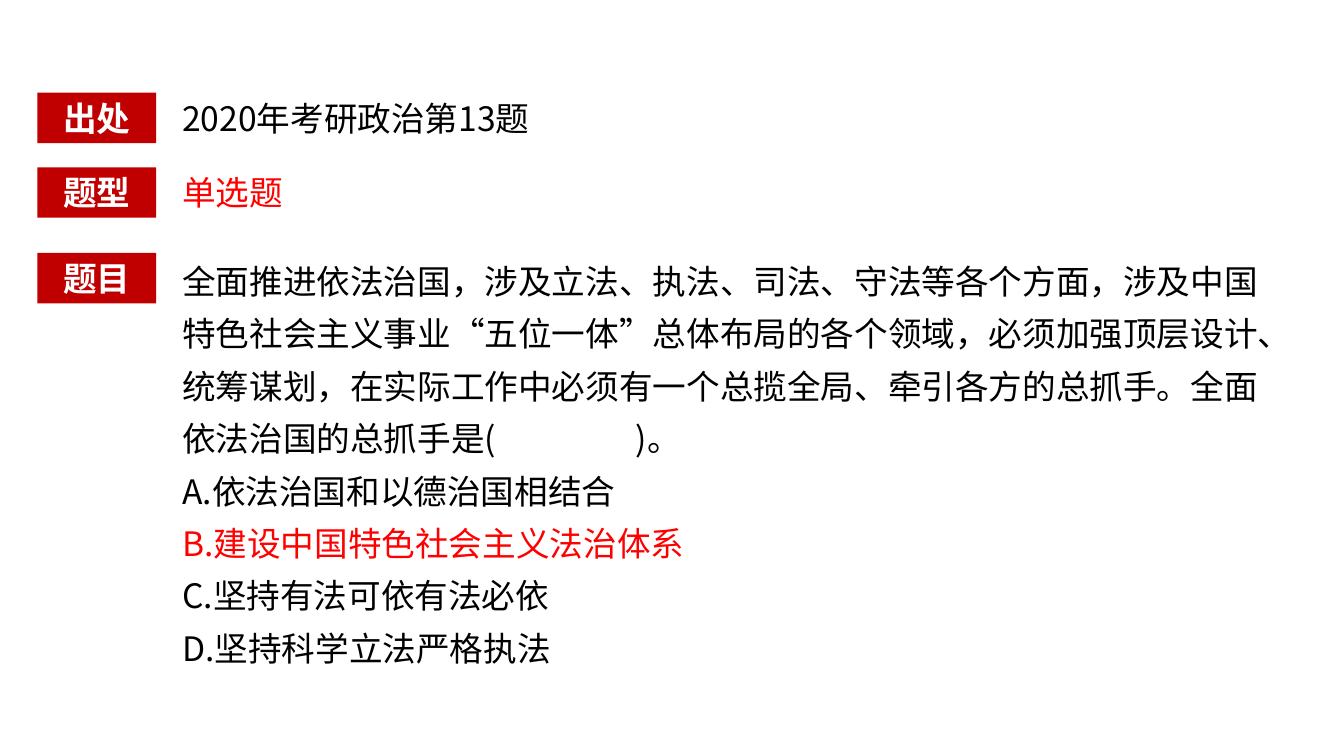
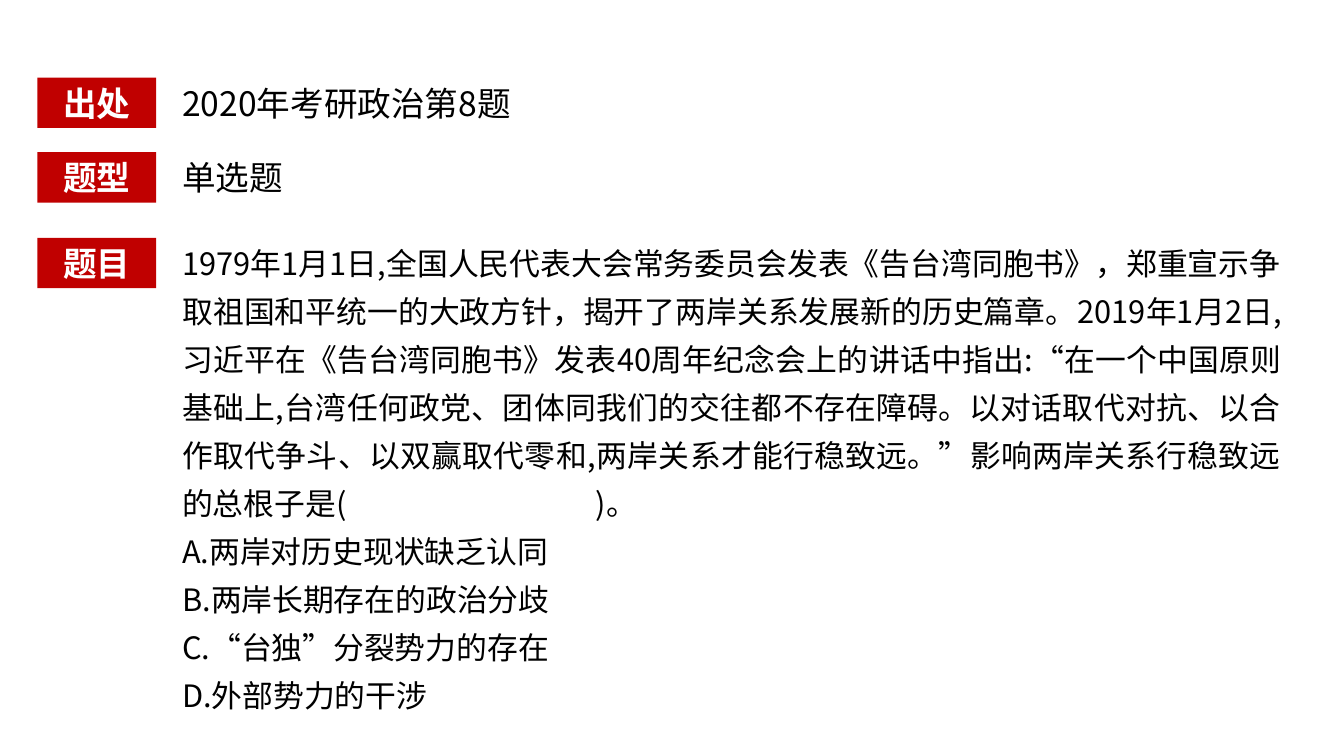
"""Build two exam-question slides with red labels and question text."""
from lxml import etree
from pptx import Presentation
from pptx.dml.color import RGBColor
from pptx.enum.shapes import MSO_SHAPE
from pptx.enum.text import MSO_ANCHOR, PP_ALIGN
from pptx.oxml.ns import qn
from pptx.util import Inches, Pt

RECT = MSO_SHAPE.RECTANGLE
TOP, MIDDLE = MSO_ANCHOR.TOP, MSO_ANCHOR.MIDDLE
LEFT, CENTER, JUSTIFY = PP_ALIGN.LEFT, PP_ALIGN.CENTER, PP_ALIGN.JUSTIFY

FONT = "Noto Sans CJK SC"
COLORS = {"label": "C00000", "white": "FFFFFF", "text": "000000", "answer": "FF0000"}
SLIDE_W, SLIDE_H = 13.33, 7.5
LABEL_X, LABEL_W = 0.37, 1.18
TEXT_X, SOURCE_W, QUESTION_W = 1.71, 9.06, 11.1
ROW_H = 0.5
ROWS = {"出处": 0, "题型": 0.74, "题目": 1.59}
QUESTION_RISE = 0.09

QUESTIONS = [
    {
        "top": 0.92, "source": "2020年考研政治第13题",
        "kind": "单选题", "kind_color": "answer",
        "size": 24, "height": 4.25, "align": LEFT, "blank_end": 4.5, "answer": "B",
        "stem": "全面推进依法治国，涉及立法、执法、司法、守法等各个方面，涉及中国"
                "特色社会主义事业“五位一体”总体布局的各个领域，必须加强顶层设计、"
                "统筹谋划，在实际工作中必须有一个总揽全局、牵引各方的总抓手。全面"
                "依法治国的总抓手是(\t)。",
        "options": ["A.依法治国和以德治国相结合", "B.建设中国特色社会主义法治体系",
                    "C.坚持有法可依有法必依", "D.坚持科学立法严格执法"],
    },
    {
        "top": 0.77, "source": "2020年考研政治第8题",
        "kind": "单选题", "kind_color": "text",
        "size": 22, "height": 4.87, "align": JUSTIFY, "blank_end": 4.1, "answer": None,
        "stem": "1979年1月1日,全国人民代表大会常务委员会发表《告台湾同胞书》，郑重宣"
                "示争取祖国和平统一的大政方针，揭开了两岸关系发展新的历史篇章。2019年1"
                "月2日,习近平在《告台湾同胞书》发表40周年纪念会上的讲话中指出:“在一"
                "个中国原则基础上,台湾任何政党、团体同我们的交往都不存在障碍。以对话取代"
                "对抗、以合作取代争斗、以双赢取代零和,两岸关系才能行稳致远。”影响两岸关"
                "系行稳致远的总根子是(\t)。",
        "options": ["A.两岸对历史现状缺乏认同", "B.两岸长期存在的政治分歧",
                    "C.“台独”分裂势力的存在", "D.外部势力的干涉"],
    },
]


def add_tab(p, pos):
    tabs = etree.SubElement(p._p.get_or_add_pPr(), qn("a:tabLst"))
    etree.SubElement(tabs, qn("a:tab"), pos=str(Inches(pos)), algn="l")


def style(p, color, size=24, bold=False, align=LEFT, spacing=None):
    p.alignment = align
    p.line_spacing = spacing
    p.font.size, p.font.bold, p.font.name = Pt(size), bold, FONT
    p.font.color.rgb = RGBColor.from_string(COLORS[color])
    defaults = p._p.pPr.find(qn("a:defRPr"))
    etree.SubElement(defaults, qn("a:ea"), typeface=FONT)


def add_label(slide, text, y):
    sp = slide.shapes.add_shape(RECT, Inches(LABEL_X), Inches(y), Inches(LABEL_W), Inches(ROW_H))
    sp.shadow.inherit = False
    sp.fill.solid()
    sp.fill.fore_color.rgb = RGBColor.from_string(COLORS["label"])
    sp.line.fill.background()
    tf = sp.text_frame
    tf.vertical_anchor = MIDDLE
    p = tf.paragraphs[0]
    p.text = text
    style(p, "white", bold=True, align=CENTER)


def add_box(slide, y, w, h):
    tf = slide.shapes.add_textbox(Inches(TEXT_X), Inches(y), Inches(w), Inches(h)).text_frame
    tf.word_wrap = True
    tf.vertical_anchor = TOP
    return tf


def add_line(slide, text, y, color="text"):
    p = add_box(slide, y, SOURCE_W, ROW_H).paragraphs[0]
    p.text = text
    style(p, color)


def add_question(slide, q, y):
    tf = add_box(slide, y, QUESTION_W, q["height"])
    p = tf.paragraphs[0]
    p.text = q["stem"]
    add_tab(p, q["blank_end"])
    style(p, "text", q["size"], align=q["align"], spacing=1.3)
    for option in q["options"]:
        p = tf.add_paragraph()
        p.text = option
        color = "answer" if option[0] == q["answer"] else "text"
        style(p, color, q["size"], spacing=1.3)


def add_slide(prs, q):
    slide = prs.slides.add_slide(prs.slide_layouts[6])
    for text, offset in ROWS.items():
        add_label(slide, text, q["top"] + offset)
    add_line(slide, q["source"], q["top"] + ROWS["出处"])
    add_line(slide, q["kind"], q["top"] + ROWS["题型"], q["kind_color"])
    add_question(slide, q, q["top"] + ROWS["题目"] - QUESTION_RISE)


def main():
    prs = Presentation()
    prs.slide_width, prs.slide_height = Inches(SLIDE_W), Inches(SLIDE_H)
    for q in QUESTIONS:
        add_slide(prs, q)
    prs.save("out.pptx")


if __name__ == "__main__":
    main()
